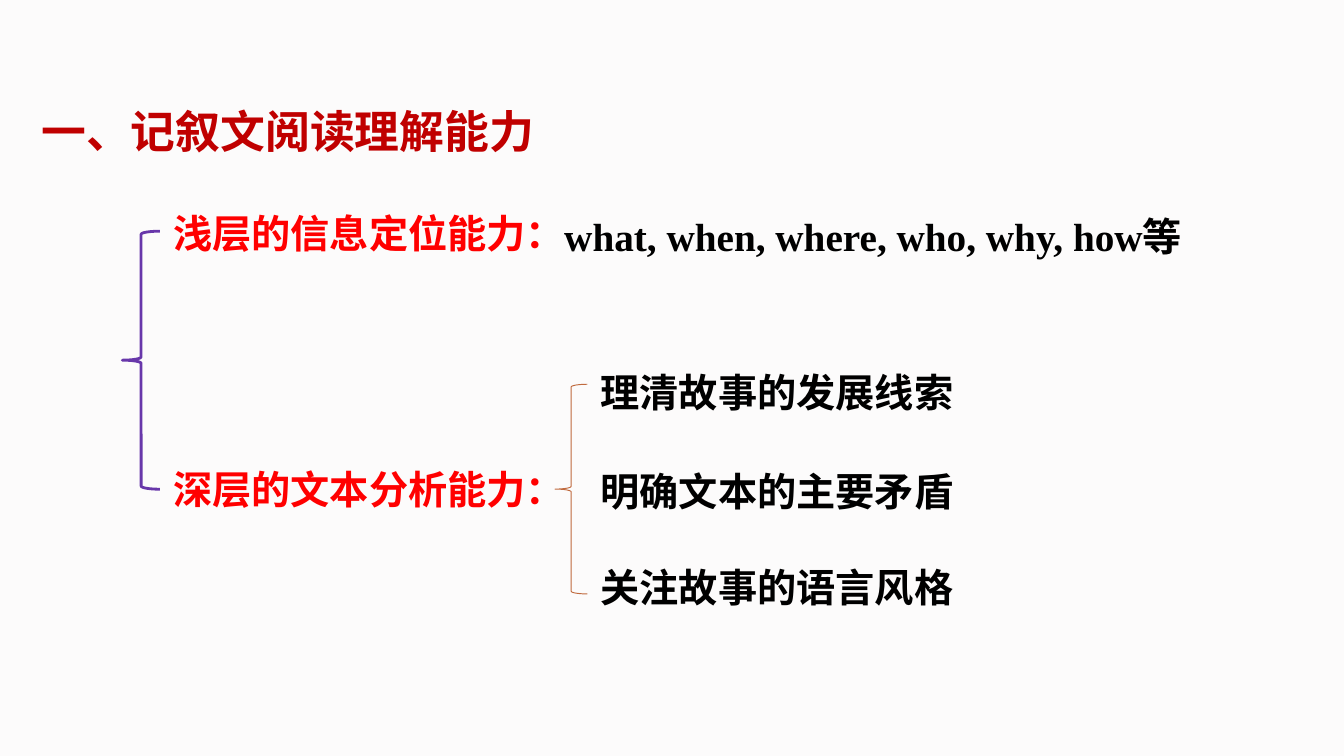
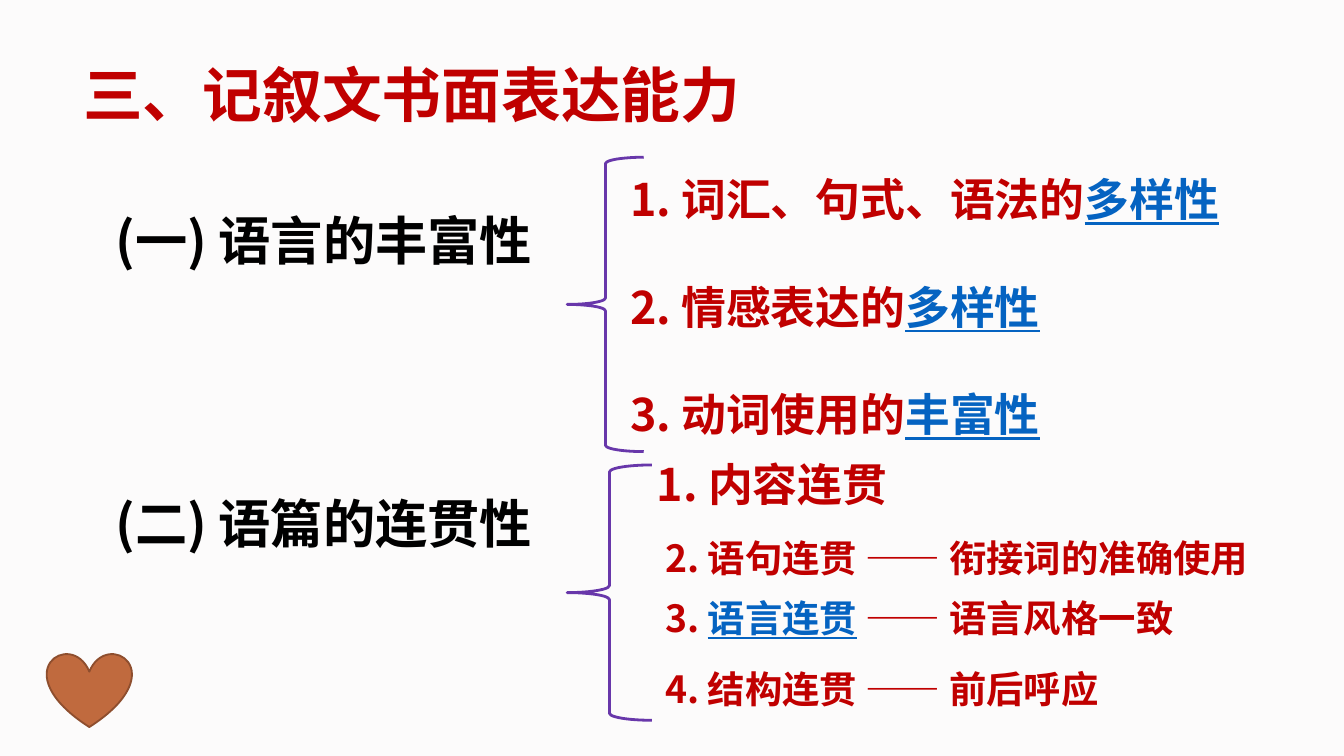
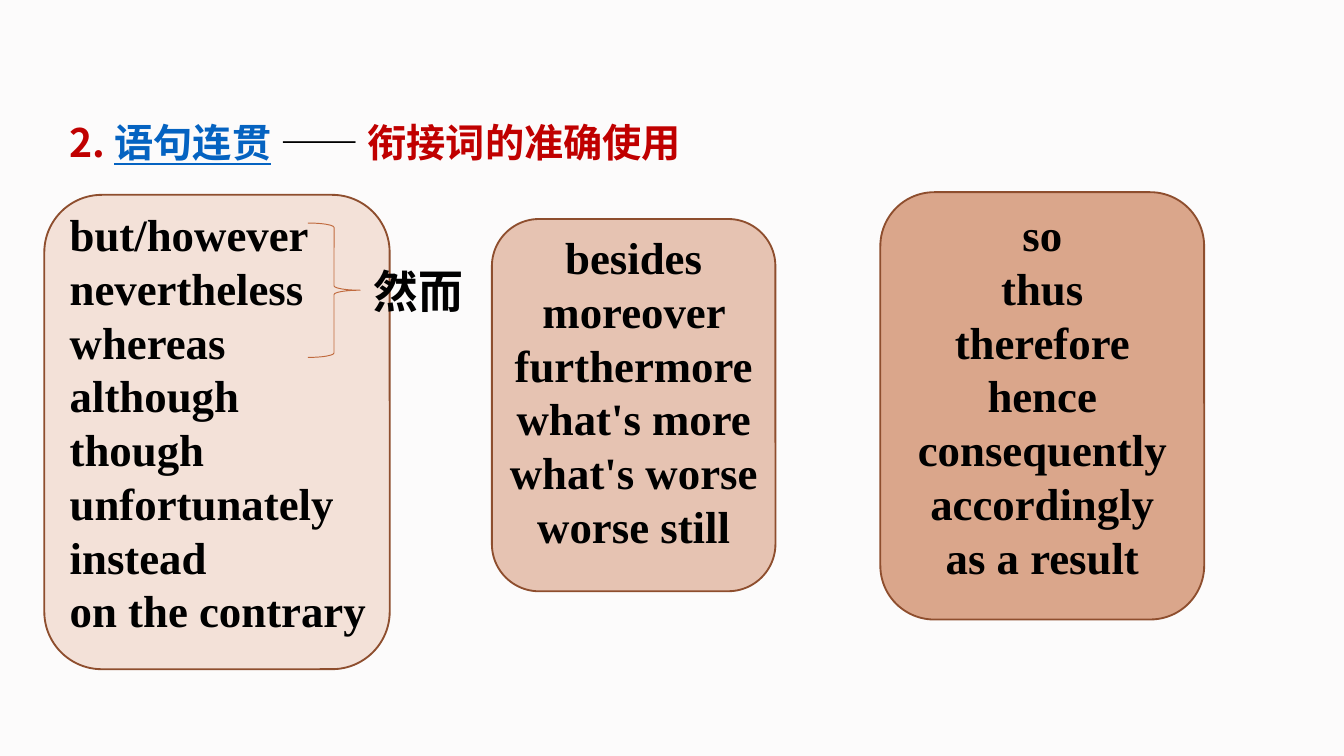
from lxml import etree
from pptx import Presentation
from pptx.dml.color import RGBColor
from pptx.enum.shapes import MSO_SHAPE
from pptx.enum.text import MSO_AUTO_SIZE, PP_ALIGN
from pptx.oxml.ns import qn
from pptx.util import Inches, Pt

# Enum members
LEFT_BRACE = MSO_SHAPE.LEFT_BRACE
RIGHT_BRACE = MSO_SHAPE.RIGHT_BRACE
HEART = MSO_SHAPE.HEART
ROUND_RECT = MSO_SHAPE.ROUNDED_RECTANGLE
FIT_SHAPE = MSO_AUTO_SIZE.SHAPE_TO_FIT_TEXT
LEFT, CENTER = PP_ALIGN.LEFT, PP_ALIGN.CENTER

# Shared colours and fonts
PAPER, BLACK = "FCFBFB", "000000"
DARK_RED, RED = "C00000", "FF0000"
LINK_BLUE, PURPLE = "0563C1", "6837AA"
COPPER, BROWN = "C06A3E", "8E4E2E"
HEAD_FONT, BODY_FONT = "Noto Sans CJK JP", "Noto Sans CJK SC"
ENGLISH_FONT = "Times New Roman"


def rgb(hex_code):
    return RGBColor.from_string(hex_code)


def set_typeface(font, name):
    """Set the Latin typeface and a sans typeface for Chinese characters."""
    font.name = name
    chinese = BODY_FONT if name == ENGLISH_FONT else name
    latin = font._element.find(qn("a:latin"))
    latin.addnext(etree.Element(qn("a:ea"), typeface=chinese))


def add_text(slide, box, paragraphs, size, color=BLACK, font=BODY_FONT,
             spacing=None, align=LEFT, wrap=True, gap=0):
    """Each paragraph is a string or a list of (text, colour, typeface)."""
    frame = slide.shapes.add_textbox(*map(Inches, box)).text_frame
    frame.word_wrap = wrap
    frame.auto_size = FIT_SHAPE
    for index, content in enumerate(paragraphs):
        paragraph = frame.paragraphs[0] if index == 0 else frame.add_paragraph()
        paragraph.alignment = align
        if spacing:
            paragraph.line_spacing = spacing
        if index and gap:
            paragraph.space_before = Pt(gap)
        paragraph.font.size = Pt(size)
        paragraph.font.bold = True
        paragraph.font.color.rgb = rgb(color)
        set_typeface(paragraph.font, font)
        pieces = [(content, color, font)] if isinstance(content, str) else content
        for text, piece_color, piece_font in pieces:
            run = paragraph.add_run()
            run.text = text
            if piece_color != color:
                run.font.color.rgb = rgb(piece_color)
            if piece_color == LINK_BLUE:
                run.font.underline = True
            if piece_font != font:
                set_typeface(run.font, piece_font)


def linked(before, link, after=""):
    """Red text around an underlined blue phrase."""
    pieces = [(before, DARK_RED, BODY_FONT), (link, LINK_BLUE, BODY_FONT)]
    return pieces + ([(after, DARK_RED, BODY_FONT)] if after else [])


def add_outline(slide, kind, box, line, width, fill=None):
    shape = slide.shapes.add_shape(kind, *map(Inches, box))
    shape.shadow.inherit = False
    shape.line.color.rgb = rgb(line)
    shape.line.width = Pt(width)
    if fill:
        shape.fill.solid()
        shape.fill.fore_color.rgb = rgb(fill)
    else:
        shape.fill.background()


def add_reading_slide(slide):
    add_text(slide, (0.21, 0.72, 3.87, 0.5), ["一、记叙文阅读理解能力"],
             24, DARK_RED, HEAD_FONT, wrap=False)
    add_outline(slide, LEFT_BRACE, (0.91, 1.72, 0.28, 1.92), PURPLE, 1.5)

    # Two levels of ability
    for top, width, ability in ((1.51, 3.18, "浅层的信息定位能力："),
                                (3.41, 3.3, "深层的文本分析能力：")):
        add_text(slide, (1.19, top, width, 0.45), [ability], 21, RED, HEAD_FONT)
    add_text(slide, (4.1, 1.53, 4.93, 0.45),
             ["what, when, where, who, why, how等"], 21, font=ENGLISH_FONT)

    # Parts of the deeper level
    add_outline(slide, LEFT_BRACE, (4.13, 2.86, 0.24, 1.56), COPPER, 0.5)
    for top, width, skill in ((2.69, 3.01, "理清故事的发展线索"),
                              (3.43, 3.15, "明确文本的主要矛盾"),
                              (4.14, 3.32, "关注故事的语言风格")):
        add_text(slide, (4.37, top, width, 0.45), [skill], 21)


def add_writing_slide(slide):
    add_text(slide, (0.52, 0.38, 5.69, 0.67), ["三、记叙文书面表达能力"],
             32, DARK_RED, HEAD_FONT)
    add_text(slide, (0.76, 1.27, 3.83, 2.93),
             ["(一) 语言的丰富性", "(二) 语篇的连贯性"], 28, spacing=1.5, gap=100.8)

    # Richness of language
    add_outline(slide, LEFT_BRACE, (4.22, 1.17, 0.57, 2.19), PURPLE, 1.5)
    add_text(slide, (4.59, 0.83, 4.89, 2.52),
             [linked("1. 词汇、句式、语法的", "多样性"),
              linked("2. 情感表达的", "多样性"),
              linked("3. 动词使用的", "丰富性")], 24, DARK_RED, spacing=2.0)

    # Coherence of the text
    add_outline(slide, LEFT_BRACE, (4.22, 3.46, 0.63, 1.9), PURPLE, 1.5)
    coherence = (
        ((4.79, 3.15, 2.8, 0.7), "1. 内容连贯", 24, 1.5),
        ((4.85, 3.77, 5.54, 0.6), "2. 语句连贯 —— 衔接词的准确使用", 20, 1.5),
        ((4.85, 4.38, 7.2, 0.57),
         linked("3. ", "语言连贯", " —— 语言风格一致"), 20, None),
        ((4.85, 4.91, 4.85, 0.45), "4. 结构连贯 —— 前后呼应", 20, None),
    )
    for box, point, size, spacing in coherence:
        add_text(slide, box, [point], size, DARK_RED, spacing=spacing)
    add_outline(slide, HEART, (0.35, 4.86, 0.63, 0.55), BROWN, 1, COPPER)


def add_connectives_slide(slide):
    heading = linked("2. ", "语句连贯", " ") + [
        ("—— ", BLACK, BODY_FONT), ("衔接词的准确使用", DARK_RED, HEAD_FONT)]
    add_text(slide, (0.42, 0.66, 6.69, 0.63), [heading], 21, DARK_RED, spacing=1.5)

    # Word cards: card box, fill, text box, alignment, words
    cards = (
        ((0.33, 1.45, 2.57, 3.53), "F3E1D8", (0.42, 1.49, 2.62, 3.33), LEFT,
         ["but/however", "nevertheless", "whereas", "although", "though",
          "unfortunately", "instead", "on the contrary"]),
        ((3.66, 1.63, 2.11, 2.77), "E6C3B2", (3.66, 1.66, 2.11, 2.52), CENTER,
         ["besides", "moreover furthermore",
          "what's more what's worse worse still"]),
        ((6.55, 1.43, 2.41, 3.18), "DAA68B", (6.66, 1.49, 2.19, 2.93), CENTER,
         ["so", "thus", "therefore", "hence", "consequently", "accordingly",
          "as a result"]),
    )
    for card, fill, text_box, align, words in cards:
        add_outline(slide, ROUND_RECT, card, BROWN, 1, fill)
        add_text(slide, text_box, words, 24, font=ENGLISH_FONT, align=align)

    # Shared meaning of the first three words
    add_outline(slide, RIGHT_BRACE, (2.29, 1.66, 0.39, 1), COPPER, 0.5)
    add_text(slide, (2.68, 1.91, 0.87, 0.5), ["然而"], 24, font=ENGLISH_FONT,
             wrap=False)


def main():
    deck = Presentation()
    deck.slide_width = Inches(10)
    deck.slide_height = deck.slide_width * 9 // 16
    background = deck.slide_master.background.fill
    background.solid()
    background.fore_color.rgb = rgb(PAPER)
    blank = deck.slide_layouts[6]
    for build in (add_reading_slide, add_writing_slide, add_connectives_slide):
        build(deck.slides.add_slide(blank))
    deck.save("out.pptx")


if __name__ == "__main__":
    main()
